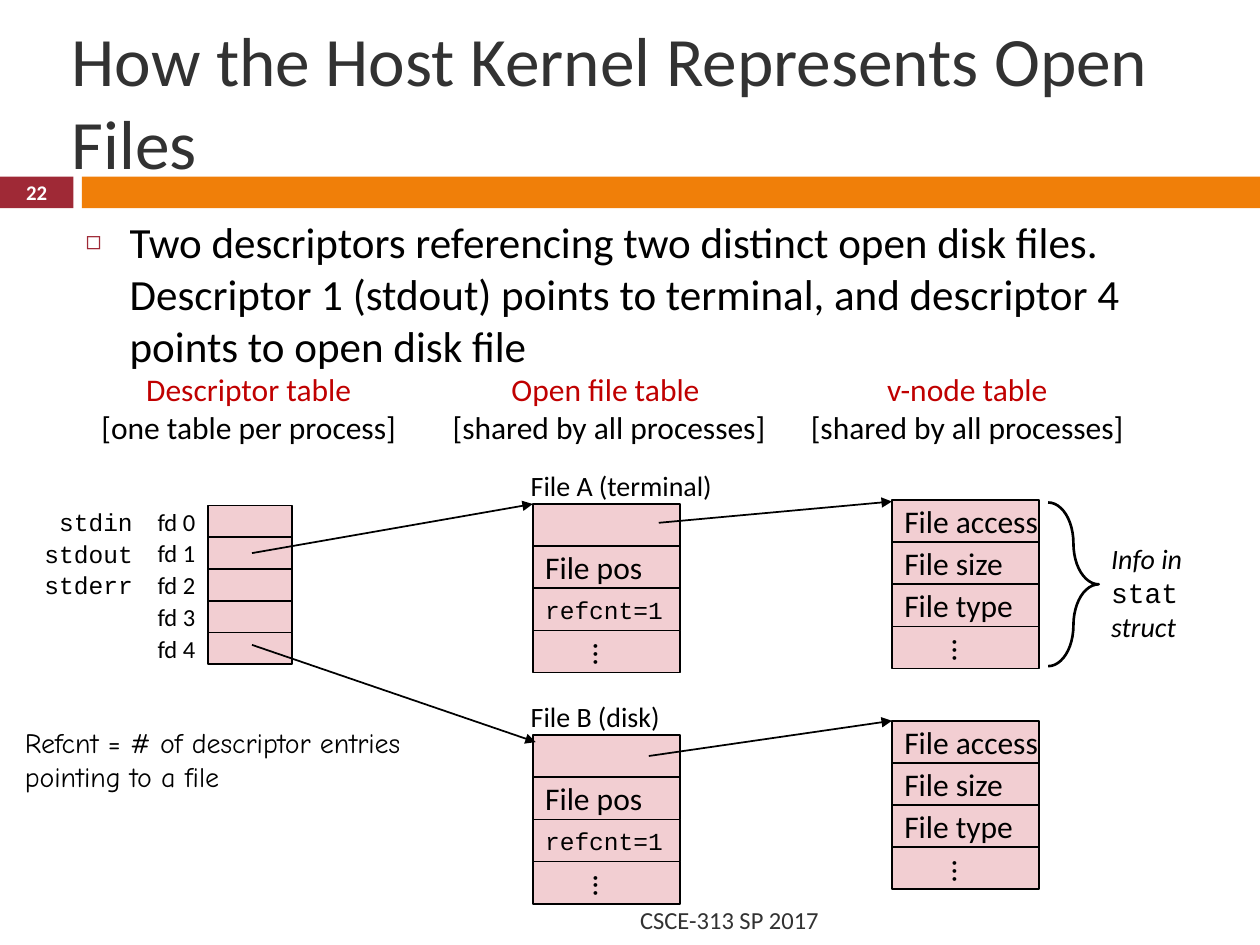
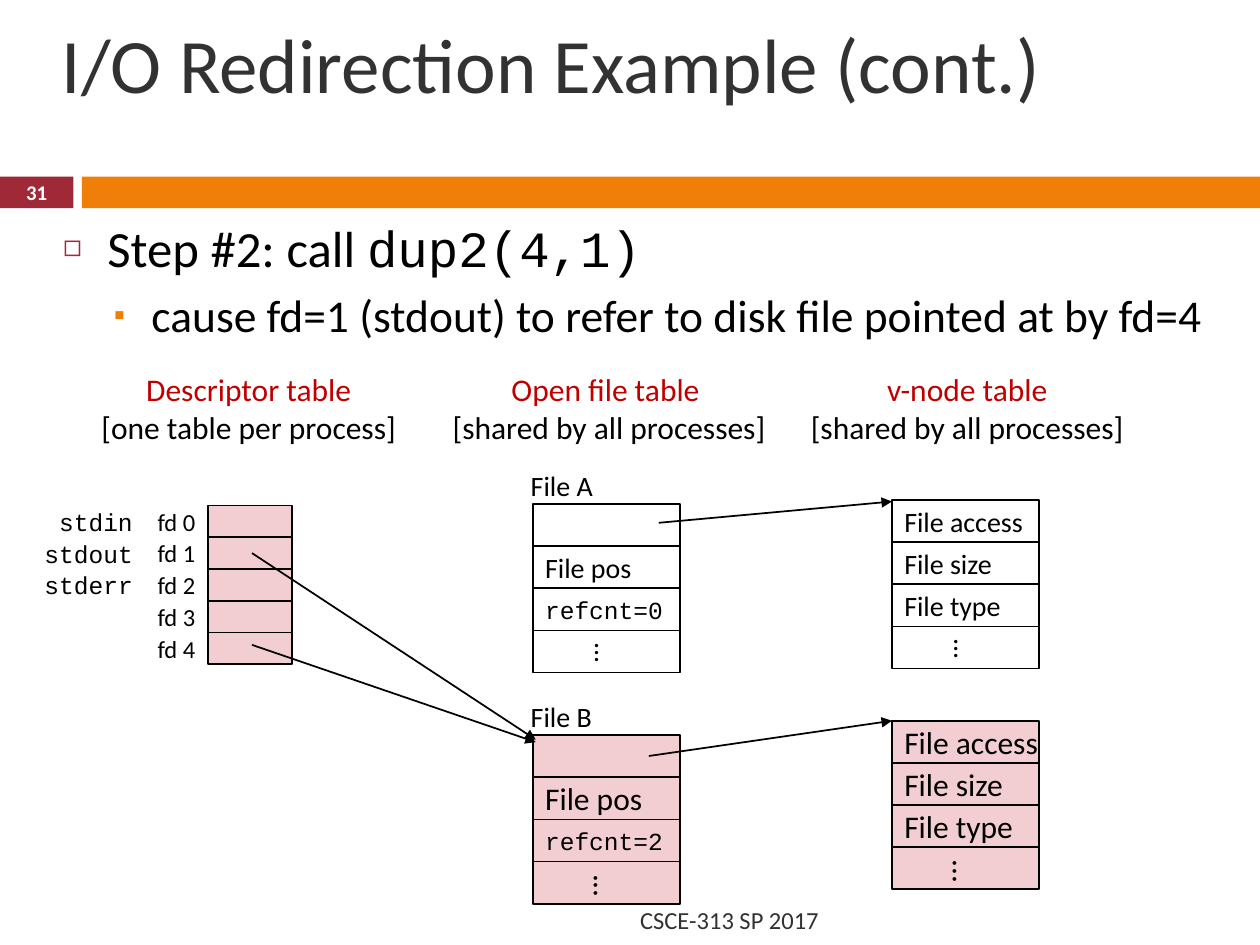
from lxml import etree
from pptx import Presentation
from pptx.dml.color import RGBColor
from pptx.enum.shapes import MSO_CONNECTOR, MSO_SHAPE
from pptx.enum.text import MSO_ANCHOR, MSO_AUTO_SIZE, PP_ALIGN
from pptx.oxml.ns import qn
from pptx.util import Cm, Pt

LEFT, CENTER, RIGHT = PP_ALIGN.LEFT, PP_ALIGN.CENTER, PP_ALIGN.RIGHT
TOP, MIDDLE = MSO_ANCHOR.TOP, MSO_ANCHOR.MIDDLE
FIXED, GROW = MSO_AUTO_SIZE.NONE, MSO_AUTO_SIZE.SHAPE_TO_FIT_TEXT
RECTANGLE, BRACE = MSO_SHAPE.RECTANGLE, MSO_SHAPE.RIGHT_BRACE
STRAIGHT = MSO_CONNECTOR.STRAIGHT

SANS, MONO, COMIC = "Calibri", "Courier New", "Comic Neue"
BLACK, WHITE, INK = "000000", "FFFFFF", "323232"
CRIMSON, ORANGE, RED, PINK = "9F2936", "F07F09", "C00000", "F2CED2"
BULLETS = [("◻", CRIMSON, 60, 0.89, 0.89, 7), ("▪", ORANGE, 70, 1.78, 0.76, 5.5)]

FD_X, FD_Y, FD_W, FD_H = 4.19, 10.19, 1.7, 0.64
CELL_W, CELL_H = 2.97, 0.85
FILE_X, FILE_A_Y, FILE_B_Y = 10.74, 10.16, 14.82
VNODE_X, VNODE_A_Y, VNODE_B_Y = 17.98, 10.08, 14.53
VNODE_FIELDS = ["File access", "File size", "File type", "..."]
HEADINGS = [
    (1.7, 6.63, "Descriptor table", "[one table per process]"),
    (8.76, 7.04, "Open file table ", "[shared by all processes]"),
    (15.98, 7.04, "v-node table", "[shared by all processes]"),
]


def color(hex_code):
    return RGBColor.from_string(hex_code)


def write(frame, paragraphs, size=16, font=SANS, ink=BLACK, bold=False, italic=False,
          align=LEFT, anchor=MIDDLE, wrap=False, fit=FIXED):
    frame.word_wrap = wrap
    frame.auto_size = fit
    frame.vertical_anchor = anchor
    for index, runs in enumerate(paragraphs):
        paragraph = frame.paragraphs[0] if index == 0 else frame.add_paragraph()
        paragraph.alignment = align
        for words, changes in runs:
            look = {"size": size, "font": font, "ink": ink, "italic": italic, **changes}
            run = paragraph.add_run()
            run.text = words
            run.font.size = Pt(look["size"])
            run.font.name = look["font"]
            run.font.color.rgb = color(look["ink"])
            run.font.bold = bold
            run.font.italic = look["italic"]


def plain(*lines):
    return [[(line, {})] for line in lines]


class Deck:
    def __init__(self):
        self.show = Presentation()
        self.show.slide_width, self.show.slide_height = Cm(25.4), Cm(19.05)
        self.slide = None

    def start(self, number):
        self.slide = self.show.slides.add_slide(self.show.slide_layouts[1])
        self.box(0, 3.56, 1.48, 0.64, fill=CRIMSON, line=None)
        self.box(1.65, 3.56, 23.75, 0.64, fill=ORANGE, line=None)
        self.text(0, 3.53, 1.48, 0.69, plain(number), size=11.9, ink=WHITE, bold=True,
                  align=CENTER, wrap=True)
        self.text(1.7, 18.03, 15.06, 1.02, plain("CSCE-313 SP 2017"), size=14, ink=INK,
                  align=RIGHT, wrap=True)

    def place(self, shape, x, y, w, h):
        shape.left, shape.top, shape.width, shape.height = Cm(x), Cm(y), Cm(w), Cm(h)
        return shape.text_frame

    def title(self, x, y, w, words, size):
        frame = self.place(self.slide.shapes.title, x, y, w, 2.11)
        write(frame, plain(words), size=size, ink=INK, wrap=True)

    def body(self, x, y, w, h, paragraphs, size):
        frame = self.place(self.slide.placeholders[1], x, y, w, h)
        write(frame, paragraphs, size=size, anchor=TOP, wrap=True)
        for level, paragraph in enumerate(frame.paragraphs):
            mark, tint, percent, margin, hanging, before = BULLETS[level]
            paragraph.level = level
            paragraph.space_before = Pt(before)
            props = paragraph._p.get_or_add_pPr()
            props.set("marL", str(Cm(margin)))
            props.set("indent", str(-Cm(hanging)))
            bullet_color = etree.SubElement(props, qn("a:buClr"))
            etree.SubElement(bullet_color, qn("a:srgbClr"), val=tint)
            etree.SubElement(props, qn("a:buSzPct"), val=str(percent * 1000))
            etree.SubElement(props, qn("a:buChar"), char=mark)

    def text(self, x, y, w, h, paragraphs, **style):
        area = self.slide.shapes.add_textbox(Cm(x), Cm(y), Cm(w), Cm(h))
        write(area.text_frame, paragraphs, **style)

    def box(self, x, y, w, h, fill=None, line=BLACK, weight=1, kind=RECTANGLE):
        shape = self.slide.shapes.add_shape(kind, Cm(x), Cm(y), Cm(w), Cm(h))
        shape.shadow.inherit = False
        if fill:
            shape.fill.solid()
            shape.fill.fore_color.rgb = color(fill)
        else:
            shape.fill.background()
        if line:
            shape.line.color.rgb = color(line)
            shape.line.width = Pt(weight)
        else:
            shape.line.fill.background()
        return shape

    def record(self, x, y, fields, fill, size):
        for row, field in enumerate(fields):
            cell = self.box(x, y + row * CELL_H, CELL_W, CELL_H, fill)
            if not field:
                continue
            if field.startswith("refcnt"):
                write(cell.text_frame, plain(field), size=14, font=MONO)
            else:
                write(cell.text_frame, plain(field), size=size)
            if field == "...":
                cell.element.txBody.bodyPr.set("vert", "eaVert")

    def arrow(self, x1, y1, x2, y2):
        line = self.slide.shapes.add_connector(STRAIGHT, Cm(x1), Cm(y1), Cm(x2), Cm(y2))
        line.line.color.rgb = color(BLACK)
        line.line.width = Pt(1)
        etree.SubElement(line.line._get_or_add_ln(), qn("a:tailEnd"), type="triangle")
        etree.SubElement(line.element.spPr, qn("a:effectLst"))

    def brace(self, x, y, w, h):
        shape = self.box(x, y, w, h, weight=1.5, kind=BRACE)
        shape.adjustments[0] = 1.33

    def descriptors(self):
        for fd in range(5):
            y = FD_Y + fd * FD_H
            self.box(FD_X, y, FD_W, FD_H, PINK)
            self.text(FD_X - FD_W, y, FD_W, FD_H, plain(f"fd {fd}"), size=14, align=RIGHT)
        for fd, stream in enumerate(["stdin", "stdout", "stderr"]):
            self.text(0.64, FD_Y - 0.1 + fd * FD_H, 2.29, 0.85, plain(stream), size=14,
                      font=MONO, align=RIGHT, fit=GROW)

    def kernel_tables(self, file_a, file_b, fill_a, size_a, stdout_target):
        for x, w, name, scope in HEADINGS:
            self.text(x, 7.32, w, 1.8, [[(name, {"ink": RED})], [(scope, {})]], size=18,
                      align=CENTER, fit=GROW)
        self.descriptors()
        for (label, width, refcnt), y, vnode_y, fill, size in [
            (file_a, FILE_A_Y, VNODE_A_Y, fill_a, size_a),
            (file_b, FILE_B_Y, VNODE_B_Y, PINK, 18),
        ]:
            self.record(FILE_X, y, ["", "File pos", f"refcnt={refcnt}", "..."], fill, size)
            self.record(VNODE_X, vnode_y, VNODE_FIELDS, fill, size)
            self.text(FILE_X - 0.29, y - 0.85, width, 0.94, plain(label), fit=GROW)
        self.arrow(5.08, 11.15, *stdout_target)
        self.arrow(5.08, 13, 10.8, 14.96)
        self.arrow(13.28, 10.54, VNODE_X, 10.11)
        self.arrow(13.08, 15.24, VNODE_X, VNODE_B_Y)


deck = Deck()

deck.start("22")
deck.title(1.19, 0.97, 24.21, "How the Host Kernel Represents Open Files", 39.6)
deck.body(1.47, 4.22, 23.09, 2.97, plain(
    "Two descriptors referencing two distinct open disk files. Descriptor 1 (stdout) "
    "points to terminal, and descriptor 4 points to open disk file"), 24.6)
deck.kernel_tables(("File A (terminal)", 4.29, 1), ("File B (disk)", 3.23, 1),
                   PINK, 18, (FILE_X, FILE_A_Y))
deck.brace(21.13, 10.13, 1.02, 3.3)
deck.text(22.15, 10.8, 2.54, 2.31,
          [[("Info in ", {})], [("stat", {"font": MONO, "italic": False}), (" struct", {})]],
          italic=True, anchor=TOP, wrap=True, fit=GROW)
deck.text(0.25, 14.5, 9.4, 1.63,
          plain("Refcnt = # of descriptor entries ", "pointing to a file"),
          font=COMIC, anchor=TOP, fit=GROW)

deck.start("31")
deck.title(0.99, 0.2, 21.08, "I/O Redirection Example (cont.)", 44)
deck.body(1.02, 4.24, 23.95, 2.74, [
    [("Step #2: call ", {}), ("dup2(4,1)", {"font": MONO})],
    [("cause fd=1 (stdout) to refer to disk file pointed at by fd=4", {"size": 26})],
], 29)
deck.kernel_tables(("File A", 1.8, 0), ("File B", 1.78, 2), WHITE, 16, (10.8, 14.91))

deck.show.save("out.pptx")
